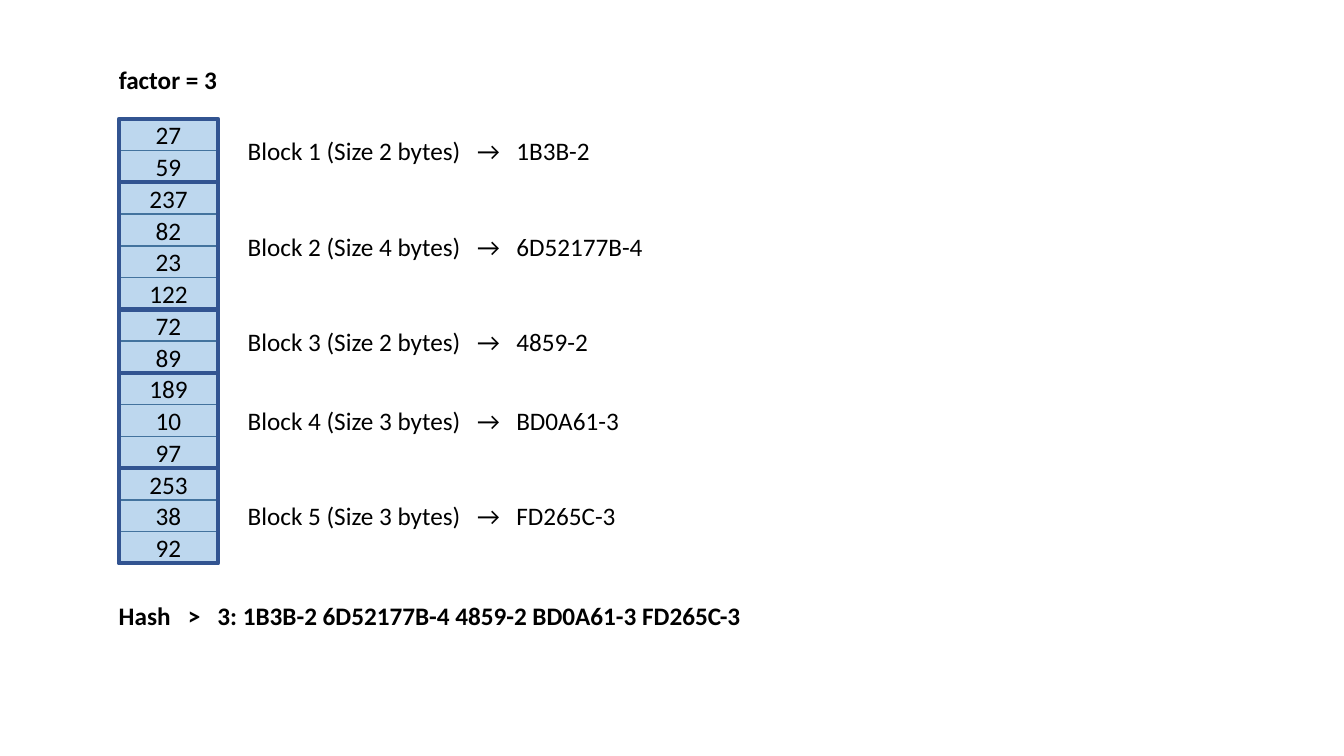
from dataclasses import dataclass

from lxml.etree import SubElement
from pptx import Presentation
from pptx.dml.color import RGBColor
from pptx.enum.shapes import MSO_SHAPE as Preset
from pptx.enum.text import MSO_ANCHOR as Anchor, MSO_AUTO_SIZE as AutoSize, PP_ALIGN as Align
from pptx.oxml.ns import qn
from pptx.shapes.autoshape import Shape
from pptx.slide import Slide
from pptx.util import Emu, Pt

PX_PER_INCH = 200
FONT = "Calibri"
TEXT_COLOUR = "000000"
BYTE_FILL, BYTE_LINE, BLOCK_LINE = "BDD7EE", "43739E", "325491"

# Layout in px
COLUMN_LEFT, COLUMN_TOP, COLUMN_WIDTH, ROW_HEIGHT = 236, 236, 197, 63
LABEL_LEFT, LABEL_WIDTH, LABEL_HEIGHT = 472, 866, 80
LABEL_TABS = (455, 533)
CAPTION_LEFT, CAPTION_HEIGHT = 216, 78
FACTOR_TOP, FACTOR_WIDTH = 118, 238
HASH_TOP, HASH_WIDTH = 1182, 1300
HASH_TABS = (137, 196)


@dataclass(frozen=True)
class Block:
    values: tuple[int, ...]
    code: str


BLOCKS = (
    Block((27, 59), "1B3B-2"),
    Block((237, 82, 23, 122), "6D52177B-4"),
    Block((72, 89), "4859-2"),
    Block((189, 10, 97), "BD0A61-3"),
    Block((253, 38, 92), "FD265C-3"),
)


def px(length: int) -> Emu:
    return Emu(round(length * 914400 / PX_PER_INCH))


def colour(hex_code: str) -> RGBColor:
    return RGBColor.from_string(hex_code)


def write(box: Shape, text: str, *, bold: bool = False, align: Align = Align.LEFT,
          anchor: Anchor = Anchor.MIDDLE, wrap: bool = True,
          tabs: tuple[int, ...] = ()) -> None:
    frame = box.text_frame
    frame.word_wrap = wrap
    frame.vertical_anchor = anchor
    para = frame.paragraphs[0]
    para.alignment = align
    if tabs:
        tab_list = SubElement(para._p.get_or_add_pPr(), qn("a:tabLst"))
        for position in tabs:
            SubElement(tab_list, qn("a:tab"), pos=str(px(position)), algn="l")
    span = para.add_run()
    span.text = text
    span.font.name = FONT
    span.font.size = Pt(18)
    span.font.bold = bold
    span.font.color.rgb = colour(TEXT_COLOUR)


def add_cell(page: Slide, top: int, height: int, line: str, line_width: int,
             fill: str | None = None) -> Shape:
    box = page.shapes.add_shape(Preset.RECTANGLE, px(COLUMN_LEFT), px(top),
                                px(COLUMN_WIDTH), px(height))
    box.shadow.inherit = False
    if fill:
        box.fill.solid()
        box.fill.fore_color.rgb = colour(fill)
    else:
        box.fill.background()
    box.line.color.rgb = colour(line)
    box.line.width = Pt(line_width)
    return box


def add_text(page: Slide, text: str, left: int, top: int, width: int, height: int,
             **text_format) -> None:
    box = page.shapes.add_textbox(px(left), px(top), px(width), px(height))
    write(box, text, **text_format)
    box.text_frame.auto_size = AutoSize.SHAPE_TO_FIT_TEXT


def main() -> None:
    deck = Presentation()
    deck.slide_width, deck.slide_height = px(2667), px(1500)
    page = deck.slides.add_slide(deck.slide_layouts[6])

    # Column of bytes
    values = [value for block in BLOCKS for value in block.values]
    for row, value in enumerate(values):
        cell = add_cell(page, COLUMN_TOP + row * ROW_HEIGHT, ROW_HEIGHT,
                        BYTE_LINE, 1, BYTE_FILL)
        write(cell, str(value), align=Align.CENTER)

    # Block outlines, each with its label centred beside it
    top = COLUMN_TOP
    for number, block in enumerate(BLOCKS, start=1):
        size = len(block.values)
        height = size * ROW_HEIGHT
        add_cell(page, top, height, BLOCK_LINE, 3)
        add_text(page, f"Block {number} (Size {size} bytes)\t→\t{block.code}",
                 LABEL_LEFT, top + (height - LABEL_HEIGHT) // 2,
                 LABEL_WIDTH, LABEL_HEIGHT, tabs=LABEL_TABS)
        top += height

    # Factor above and hash below
    add_text(page, "factor = 3", CAPTION_LEFT, FACTOR_TOP, FACTOR_WIDTH, CAPTION_HEIGHT,
             bold=True, anchor=Anchor.TOP, wrap=False)
    codes = " ".join(block.code for block in BLOCKS)
    add_text(page, f"Hash\t>\t3: {codes}", CAPTION_LEFT, HASH_TOP, HASH_WIDTH,
             CAPTION_HEIGHT, bold=True, anchor=Anchor.TOP, tabs=HASH_TABS)

    deck.save("out.pptx")


if __name__ == "__main__":
    main()
